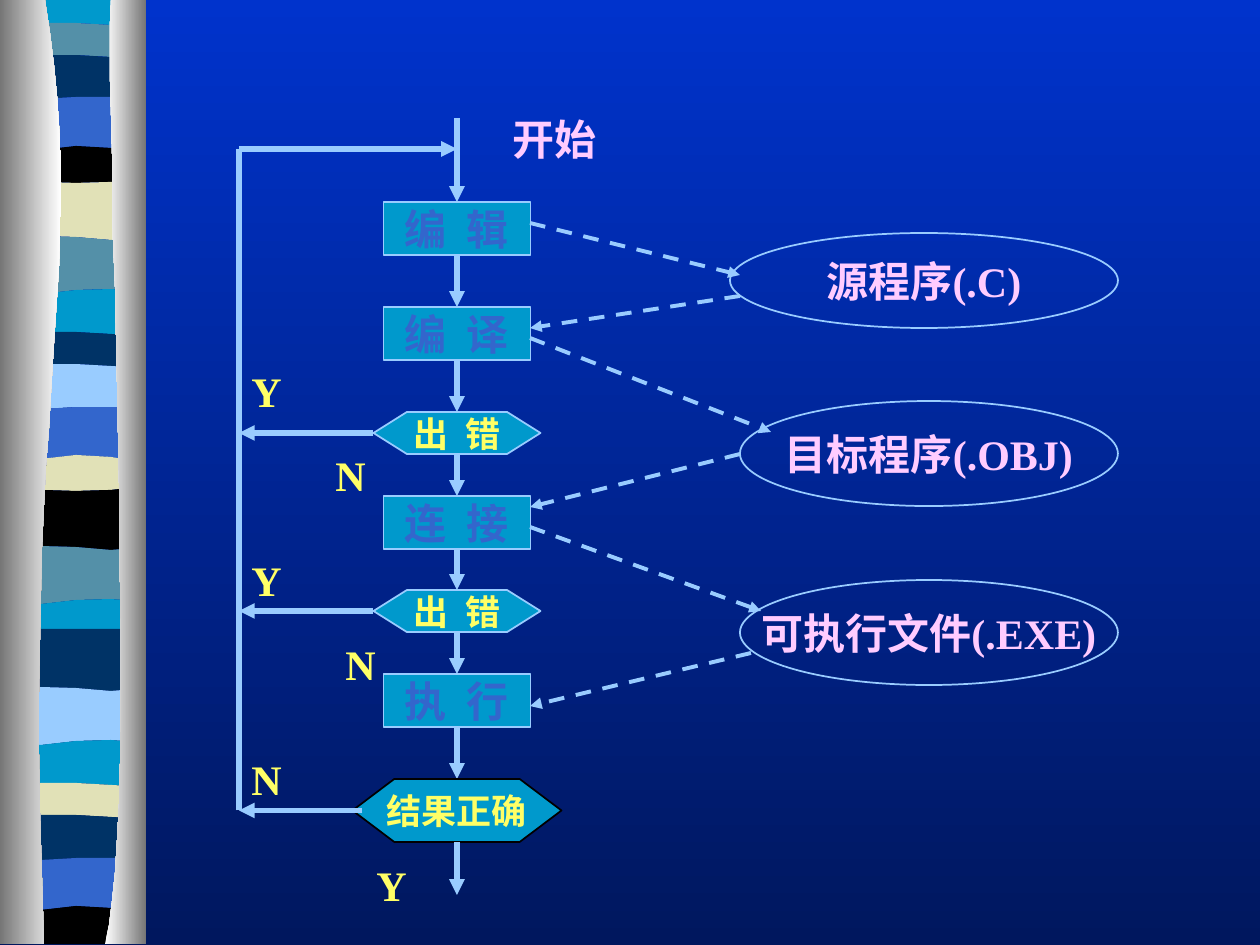
import pptx
import pptx.util
import pptx.dml.color
import pptx.enum.dml
import pptx.enum.shapes
import pptx.enum.text
import pptx.oxml.ns
import lxml.etree

PX = 914400 / 126  # EMU in one px
SHAPES = pptx.enum.shapes.MSO_SHAPE
SKY, TEAL, BLUE, NAVY = "99CCFF", "0099CC", "3366CC", "003366"
SLATE, SAND, BLACK, YELLOW, PINK = "5490A8", "E1E1B7", "000000", "FFFF66", "FFCCFF"
GREY, WHITE = "767676", "FFFFFF"

# Offsets of a stripe's top edge, at five equal steps from left to right
FLAT = (0, 0, 0, 0, 0)
CREST = (0, -4, -4, -2, 0)
DIP = (0, 2, 0, 0, 0)
ARCH = (0, -4, -8, -6, 0)
SAG = (0, 4, 5, 4, 0)
SWELL = (0, -1, 0, 3, 0)
SLOPE = (0, 2, -2, -3, 0)
STRIPES = [
    (TEAL, 0, FLAT), (SLATE, 27, CREST), (NAVY, 59, CREST), (BLUE, 97, DIP),
    (BLACK, 154, ARCH), (SAND, 178, SAG), (SLATE, 237, SWELL),
    (TEAL, 292, SLOPE), (NAVY, 336, CREST), (SKY, 368, CREST), (BLUE, 407, DIP),
    (SAND, 463, ARCH), (BLACK, 486, SAG), (SLATE, 547, SWELL),
    (TEAL, 602, SLOPE), (NAVY, 629, FLAT), (SKY, 688, SWELL),
    (TEAL, 743, SLOPE), (SAND, 787, CREST), (NAVY, 819, CREST),
    (BLUE, 858, DIP), (BLACK, 914, ARCH),
]


def emu(*lengths):
    return [round(length * PX) for length in lengths]


def rgb(code):
    return pptx.dml.color.RGBColor.from_string(code)


def set_gradient(fill, first, last, angle):
    fill.gradient()
    fill.gradient_angle = angle
    for stop, code, position in zip(fill.gradient_stops, (first, last), (0, 1)):
        stop.color.rgb = rgb(code)
        stop.position = position


def write(shape, words, size, color, spread=0):
    frame = shape.text_frame
    frame.text = words
    run = frame.paragraphs[0].runs[0]
    run.font.name = "Times New Roman"
    run.font.size = pptx.util.Pt(size)
    run.font.bold = True
    run.font.color.rgb = rgb(color)
    if spread:
        run.font._element.set("spc", str(spread))


def add_node(slide, kind, box, words, size, color, fill=None, line=SKY, spread=0):
    node = slide.shapes.add_shape(kind, *emu(*box))
    node.shadow.inherit = False
    if fill:
        node.fill.solid()
        node.fill.fore_color.rgb = rgb(fill)
    else:
        node.fill.background()
    node.line.color.rgb = rgb(line)
    node.line.width = pptx.util.Pt(1)
    write(node, words, size, color, spread)
    node.text_frame.word_wrap = False
    node.text_frame.vertical_anchor = pptx.enum.text.MSO_ANCHOR.MIDDLE
    node.text_frame.paragraphs[0].alignment = pptx.enum.text.PP_ALIGN.CENTER


def add_label(slide, box, words, color):
    label = slide.shapes.add_textbox(*emu(*box))
    label.text_frame.word_wrap = True
    write(label, words, 24, color)


def add_line(slide, x1, y1, x2, y2, width=3, dashed=False, arrow=True):
    link = slide.shapes.add_connector(
        pptx.enum.shapes.MSO_CONNECTOR.STRAIGHT, *emu(x1, y1, x2, y2))
    link.line.color.rgb = rgb(SKY)
    link.line.width = pptx.util.Pt(width)
    if dashed:
        link.line.dash_style = pptx.enum.dml.MSO_LINE.DASH
    qn = pptx.oxml.ns.qn
    properties = link._element.spPr
    if arrow:
        lxml.etree.SubElement(properties.find(qn("a:ln")), qn("a:tailEnd"), type="triangle")
    lxml.etree.SubElement(properties, qn("a:effectLst"))


def add_outline(slide, points):
    builder = slide.shapes.build_freeform(*points[0], scale=PX)
    builder.add_line_segments(points[1:], close=True)
    outline = builder.convert_to_shape()
    outline.shadow.inherit = False
    outline.line.fill.background()
    return outline


def bezier(start, pull_1, pull_2, end, steps=24):
    points = []
    for step in range(steps + 1):
        t = step / steps
        weights = ((1 - t) ** 3, 3 * t * (1 - t) ** 2, 3 * t * t * (1 - t), t ** 3)
        points.append(tuple(
            sum(w * p[axis] for w, p in zip(weights, (start, pull_1, pull_2, end)))
            for axis in (0, 1)))
    return points


def draw_ribbon(slide, left, top, width, height):
    # Striped cloth
    margin = 6
    step = (width - margin) / 4
    edges = [[(left + margin + i * step, top + y + rise) for i, rise in enumerate(wave)]
             for _, y, wave in STRIPES]
    edges.append([(x, top + height) for x, _ in edges[0]])
    for (color, _, _), upper, lower in zip(STRIPES, edges, edges[1:]):
        stripe = add_outline(slide, upper + lower[::-1])
        stripe.fill.solid()
        stripe.fill.fore_color.rgb = rgb(color)

    # Curtains on both sides
    curtains = [
        (0, [(45, 0), (91, 273), (21, 373), (44, height)], GREY, WHITE),
        (width, [(111, 0), (105, 158), (140, 815), (105, height)], WHITE, GREY),
    ]
    for side, curve, first, last in curtains:
        hem = [(left + x, top + y) for x, y in bezier(*curve)]
        curtain = add_outline(
            slide, hem + [(left + side, top + height), (left + side, top)])
        set_gradient(curtain.fill, first, last, 0)


def draw_flow(slide, left, top, width, height):
    center = left + 218
    process = (SHAPES.RECTANGLE, 147, 53, 24, BLUE, SKY, 300)
    check = (SHAPES.FLOWCHART_PREPARATION, 167, 42, 20, YELLOW, SKY, 250)
    result = (SHAPES.FLOWCHART_PREPARATION, 209, 63, 20, YELLOW, BLACK, 0)
    steps = [("编 辑", 84, process), ("编 译", 189, process), ("出 错", 294, check),
             ("连 接", 378, process), ("出 错", 472, check),
             ("执 行", 556, process), ("结果正确", 661, result)]

    # Steps, the arrows down to them and the branches back
    entry = 0
    for words, y, (kind, wide, tall, size, color, line, spread) in steps:
        add_line(slide, center, top + entry, center, top + y)
        box = (center - wide / 2, top + y, wide, tall)
        add_node(slide, kind, box, words, size, color, TEAL, line, spread)
        entry = y + tall
        if kind == SHAPES.FLOWCHART_PREPARATION:
            middle = top + y + tall / 2
            overlap = 10 if line == BLACK else 0
            add_line(slide, box[0] + overlap, middle, left, middle)
    add_line(slide, center, top + entry, center, top + height)

    # Loop back to the start
    add_line(slide, left, middle, left, top + 31, arrow=False)
    add_line(slide, left, top + 31, center, top + 31)

    # Labels
    add_label(slide, (left + 261, top - 11, 136, 63), "开始", PINK)
    for answer, x, y in [("Y", 0, 241), ("N", 84, 325), ("Y", 0, 430),
                         ("N", 94, 514), ("N", 0, 629), ("Y", 125, 735)]:
        add_label(slide, (left + x, top + y, 52, 63), answer, YELLOW)


def draw_files(slide, left, top, width, height):
    # Each file: name, left, top, height, then the arrow to it and the one back
    files = [
        ("源程序(.C)", 200, 0, 95, (0, -10, 210, 42), (210, 63, 0, 95)),
        ("目标程序(.OBJ)", 210, 168, 105, (0, 105, 241, 199), (210, 221, 0, 274)),
        ("可执行文件(.EXE)", 210, 347, 105, (0, 294, 231, 378), (221, 420, 0, 473)),
    ]
    for name, x, y, tall, *arrows in files:
        add_node(slide, SHAPES.OVAL, (left + x, top + y, width - x, tall), name, 24, PINK)
        for x1, y1, x2, y2 in arrows:
            add_line(slide, left + x1, top + y1, left + x2, top + y2, 2.25, dashed=True)


def main():
    deck = pptx.Presentation()
    deck.slide_width, deck.slide_height = emu(1260, 945)
    slide = deck.slides.add_slide(deck.slide_layouts[6])
    set_gradient(slide.background.fill, "0033CC", "00175E", 270)
    draw_ribbon(slide, 0, 0, 146, 944)
    draw_flow(slide, 239, 118, 324, 777)
    draw_files(slide, 530, 233, 588, 473)
    deck.save("out.pptx")


if __name__ == "__main__":
    main()
